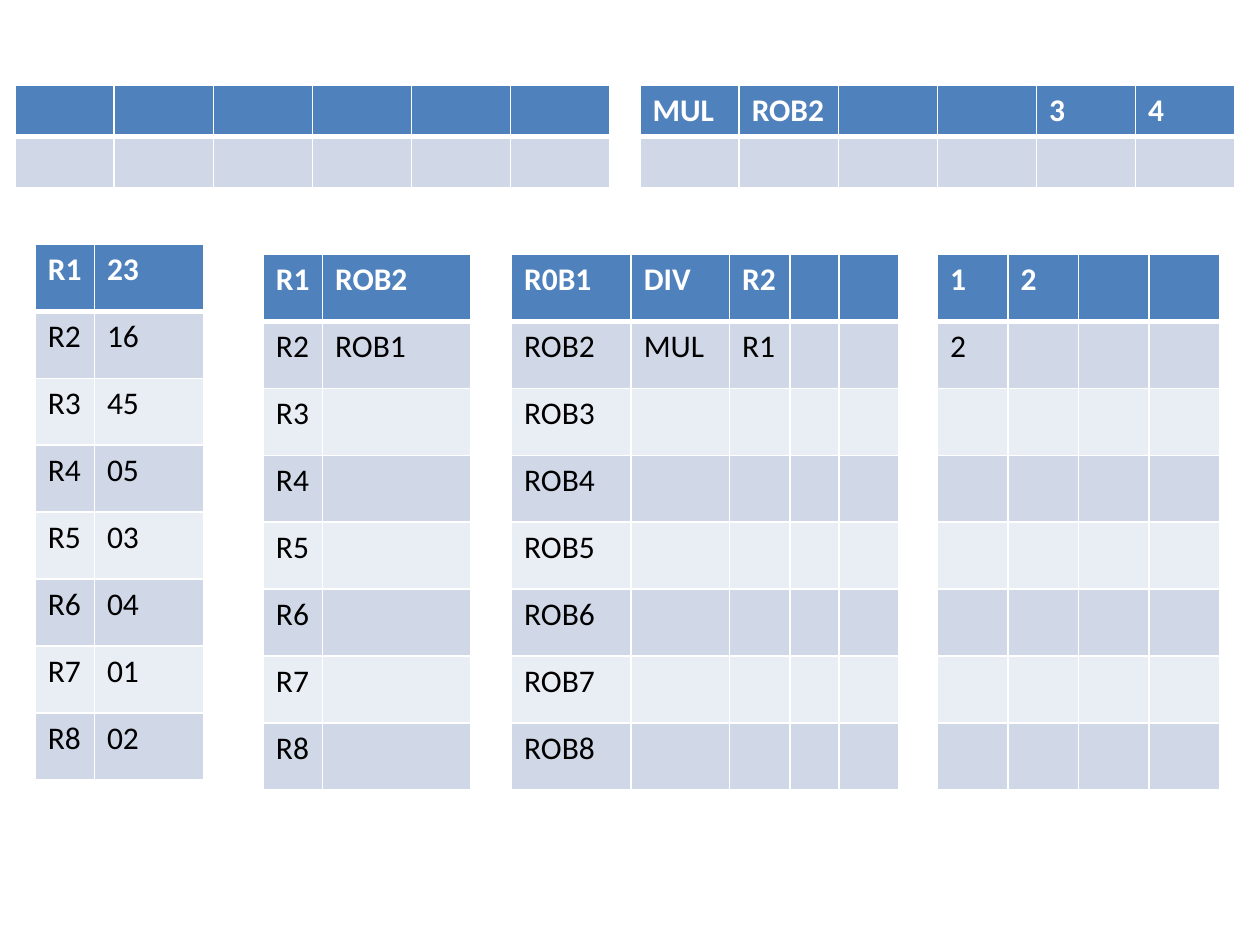
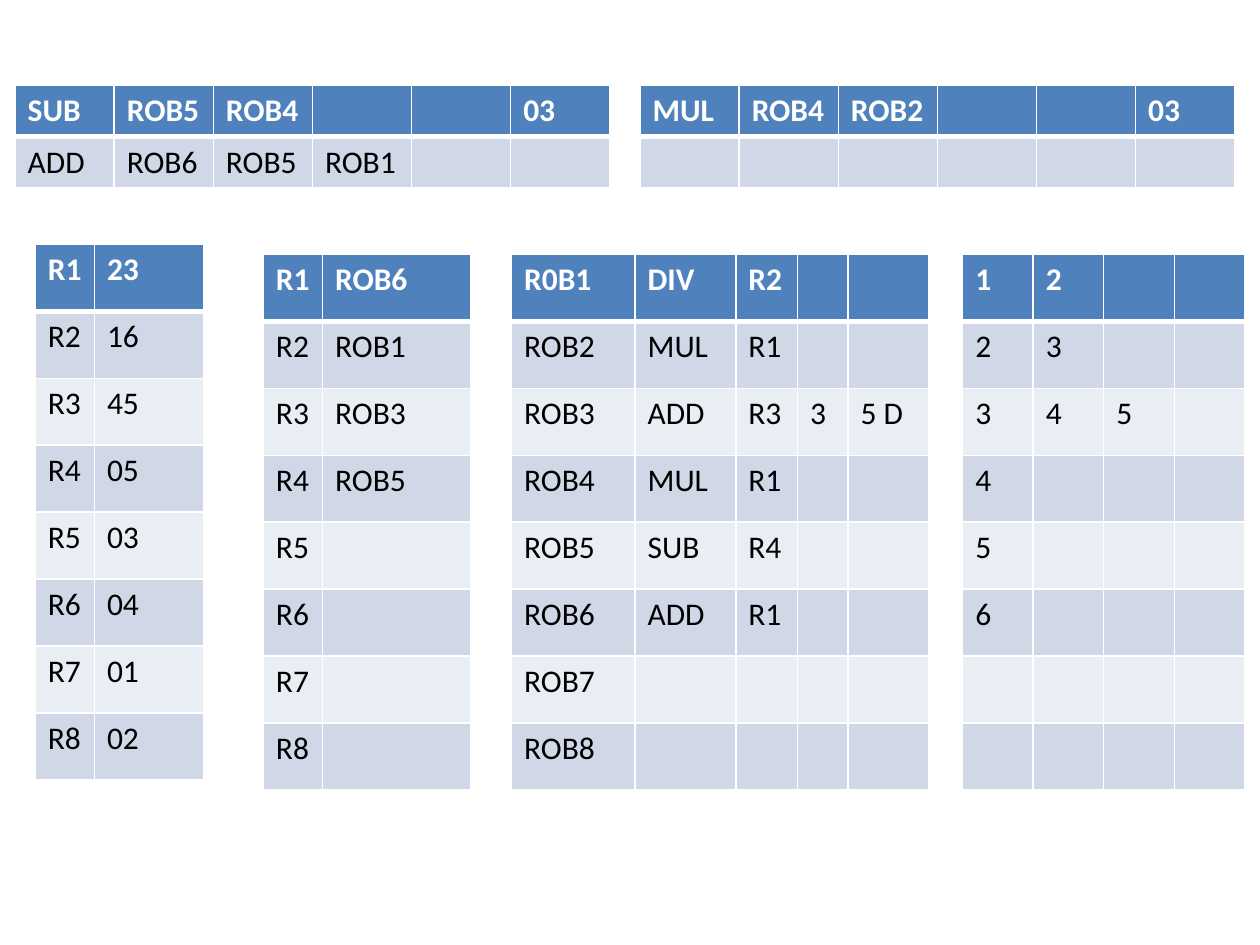
from dataclasses import dataclass

from lxml.etree import SubElement
from pptx import Presentation
from pptx.dml.color import RGBColor
from pptx.oxml.ns import qn
from pptx.slide import Slide
from pptx.table import _Cell
from pptx.util import Inches, Pt

COLOURS = {
    "header": "4F81BD",
    "band_dark": "D0D8E8",
    "band_light": "E9EDF4",
    "border": "FFFFFF",
    "header_text": "FFFFFF",
    "body_text": "000000",
}
FONT = {"name": "Calibri", "size": Pt(18)}
THIN, THICK = Pt(1), Pt(3)


@dataclass(frozen=True)
class Grid:
    """Place and size of one table; lengths are in inches."""
    left: float
    top: float
    height: float
    row_count: int
    widths: tuple[float, ...]


# Tables shared by both slides
STATION_WIDTHS = (4.72 / 6,) * 6
ADD_STATIONS = Grid(0.12, 0.68, 0.81, 2, STATION_WIDTHS)
MUL_STATIONS = Grid(5.08, 0.68, 0.81, 2, STATION_WIDTHS)
REGISTERS = Grid(0.28, 1.94, 4.25, 8, (0.47, 0.87))
ALIASES = Grid(2.09, 2.02, 4.25, 8, (0.47, 1.18))


def reorder_buffer(*widths: float) -> Grid:
    return Grid(4.06, 2.02, 4.25, 8, widths)


def cycles(left: float) -> Grid:
    return Grid(left, 2.02, 4.25, 8, (0.56,) * 4)


def numbered(prefix: str, *details: str, first: str = "") -> list[list[str]]:
    """Eight rows labelled prefix1 to prefix8, each with its comma-separated details."""
    rows = [[f"{prefix}{number}"] for number in range(1, 9)]
    for row, detail in zip(rows, details):
        row.extend(detail.split(","))
    if first:
        rows[0][0] = first
    return rows


REGISTER_ROWS = numbered("R", "23", "16", "45", "05", "03", "04", "01", "02")

# Contents of each slide
SLIDES = [
    [
        (ADD_STATIONS, []),
        (MUL_STATIONS, [["MUL", "ROB2", "", "", "3", "4"]]),
        (REGISTERS, REGISTER_ROWS),
        (ALIASES, numbered("R", "ROB2", "ROB1")),
        (reorder_buffer(0.95, 0.78, 0.48, 0.39, 0.47),
         numbered("ROB", "DIV,R2", "MUL,R1", first="R0B1")),
        (cycles(7.44), [["1", "2"], ["2"]]),
    ],
    [
        (ADD_STATIONS, [["SUB", "ROB5", "ROB4", "", "", "03"],
                        ["ADD", "ROB6", "ROB5", "ROB1"]]),
        (MUL_STATIONS, [["MUL", "ROB4", "ROB2", "", "", "03"]]),
        (REGISTERS, REGISTER_ROWS),
        (ALIASES, numbered("R", "ROB6", "ROB1", "ROB3", "ROB5")),
        (reorder_buffer(0.98, 0.8, 0.49, 0.4, 0.64),
         numbered("ROB", "DIV,R2", "MUL,R1", "ADD,R3,3,5 D", "MUL,R1",
                  "SUB,R4", "ADD,R1", first="R0B1")),
        (cycles(7.64), [["1", "2"], ["2", "3"], ["3", "4", "5"], ["4"], ["5"], ["6"]]),
    ],
]


def draw_borders(cell: _Cell, row_index: int) -> None:
    """White lines, thicker between the header and the first body row."""
    widths = {
        "L": THIN,
        "R": THIN,
        "T": THICK if row_index == 1 else THIN,
        "B": THICK if row_index == 0 else THIN,
    }
    properties = cell._tc.get_or_add_tcPr()
    for side, width in widths.items():
        line = SubElement(properties, qn(f"a:ln{side}"), w=str(width))
        fill = SubElement(line, qn("a:solidFill"))
        SubElement(fill, qn("a:srgbClr"), val=COLOURS["border"])


def format_cell(cell: _Cell, row_index: int, text: str) -> None:
    is_header = row_index == 0
    band = "header" if is_header else "band_dark" if row_index % 2 else "band_light"
    draw_borders(cell, row_index)
    cell.fill.solid()
    cell.fill.fore_color.rgb = RGBColor.from_string(COLOURS[band])
    if not text:
        return
    span = cell.text_frame.paragraphs[0].add_run()
    span.text = text
    for name, value in {**FONT, "bold": is_header}.items():
        setattr(span.font, name, value)
    text_colour = COLOURS["header_text" if is_header else "body_text"]
    span.font.color.rgb = RGBColor.from_string(text_colour)


def draw_table(page: Slide, grid: Grid, rows: list[list[str]]) -> None:
    frame = page.shapes.add_table(
        grid.row_count, len(grid.widths), Inches(grid.left), Inches(grid.top),
        Inches(sum(grid.widths)), Inches(grid.height))
    table = frame.table
    for column, width in zip(table.columns, grid.widths):
        column.width = Inches(width)
    for row_index in range(grid.row_count):
        texts = rows[row_index] if row_index < len(rows) else []
        for column_index in range(len(grid.widths)):
            text = texts[column_index] if column_index < len(texts) else ""
            format_cell(table.cell(row_index, column_index), row_index, text)


def main() -> None:
    deck = Presentation()
    deck.slide_width, deck.slide_height = Inches(10), Inches(7.5)
    blank_layout = deck.slide_layouts[6]
    for tables in SLIDES:
        page = deck.slides.add_slide(blank_layout)
        for grid, rows in tables:
            draw_table(page, grid, rows)
    deck.save("out.pptx")


if __name__ == "__main__":
    main()
